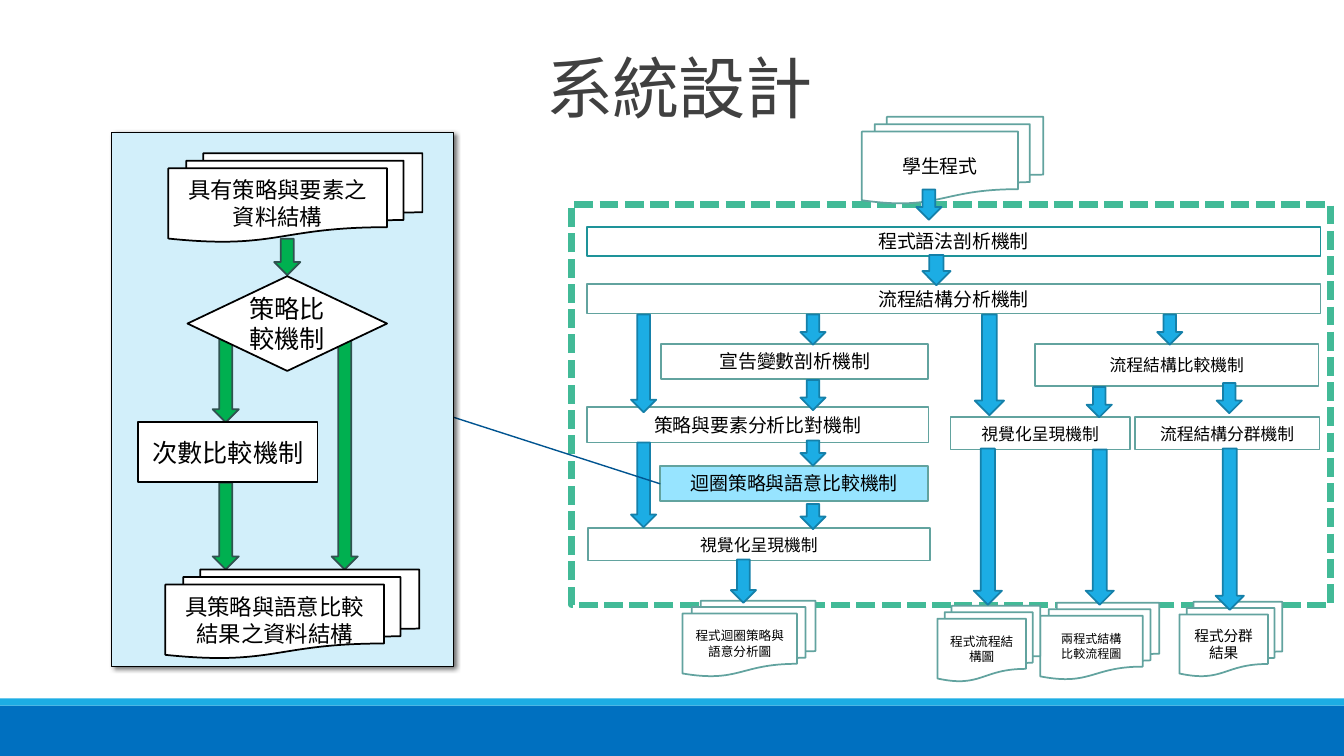
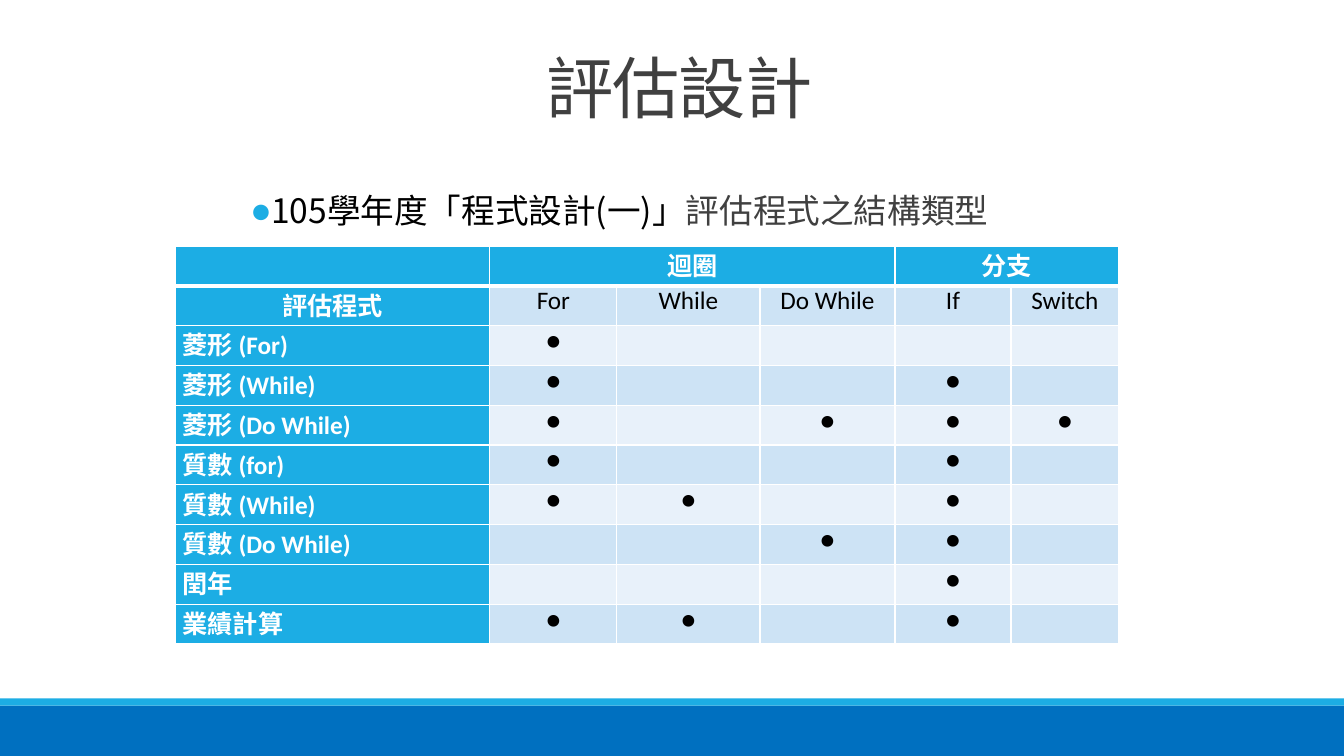
from dataclasses import dataclass
from typing import NamedTuple, Optional

from lxml.etree import SubElement as Sub
from pptx import Presentation
from pptx.dml.color import RGBColor as RGB
from pptx.enum.dml import MSO_LINE
from pptx.enum.shapes import MSO_CONNECTOR, MSO_SHAPE as MS
from pptx.enum.text import MSO_ANCHOR as Anchor, PP_ALIGN as Align
from pptx.oxml.ns import qn
from pptx.util import Emu, Inches, Pt


# Theme
@dataclass(frozen=True)
class Theme:
    latin: str = "Calibri"
    cjk: str = "Noto Sans CJK TC"
    white: str = "FFFFFF"
    black: str = "000000"
    gray: str = "404040"
    footer: str = "0070C0"
    accent: str = "1CADE4"
    accent_edge: str = "1580A9"
    teal: str = "62A39F"
    deep_teal: str = "1E9399"
    frame: str = "42BA97"
    highlight: str = "97E4FF"
    panel: str = "D2EFFA"
    leader: str = "005490"
    green: str = "00B050"
    green_edge: str = "305250"
    band_dark: str = "CDE3F5"
    band_light: str = "E8F1FA"
    title_size: float = 48
    body_size: float = 24
    large: float = 18
    medium: float = 16
    step: float = 13.5
    substep: float = 12
    result: float = 10.5
    small: float = 9
    tiny: float = 8.6
    edge: float = 1.25


T = Theme()

# Grid: square cells, ten to the inch
CELL = Inches(0.1)
COLS, ROWS = 133.33, 75


class Box(NamedTuple):
    x: float
    y: float
    w: float
    h: float


@dataclass(frozen=True)
class Node:
    kind: MS
    box: Box
    text: str
    size: float
    edge: str = T.teal
    fill: Optional[str] = T.white


class Arrow(NamedTuple):
    x: float
    y: float
    h: float
    w: float = 2.5


def cells(n: float) -> Emu:
    return Emu(round(n * CELL))


def place(box: Box) -> list:
    return [cells(n) for n in box]


# Shared drawing functions
def style_run(r, size: float, color: str, bold: bool = False, latin: str = T.latin) -> None:
    r.font.size, r.font.bold, r.font.name = Pt(size), bold, latin
    r.font.color.rgb = RGB.from_string(color)
    Sub(r.font._element, qn("a:ea"), typeface=T.cjk)


def style_text(tf, size: float, color: str, align=Align.CENTER, bold: bool = False) -> None:
    for p in tf.paragraphs:
        p.alignment = align
        for r in p.runs:
            style_run(r, size, color, bold)


def add_box(slide, kind, box: Box, fill: Optional[str], edge: Optional[str] = None,
            width: float = T.edge):
    sp = slide.shapes.add_shape(kind, *place(box))
    sp.shadow.inherit = False
    if fill:
        sp.fill.solid()
        sp.fill.fore_color.rgb = RGB.from_string(fill)
    else:
        sp.fill.background()
    if edge:
        sp.line.color.rgb = RGB.from_string(edge)
        sp.line.width = Pt(width)
    else:
        sp.line.fill.background()
    return sp


def add_node(slide, node: Node) -> None:
    sp = add_box(slide, node.kind, node.box, node.fill, node.edge)
    sp.text_frame.text = node.text
    style_text(sp.text_frame, node.size, T.black)


def add_arrow(slide, a: Arrow, fill: str, edge: str) -> None:
    add_box(slide, MS.DOWN_ARROW, Box(a.x, a.y, a.w, a.h), fill, edge)


def add_text(slide, box: Box):
    tf = slide.shapes.add_textbox(*place(box)).text_frame
    tf.word_wrap = True
    return tf


def new_slide(prs, title: str):
    slide = prs.slides.add_slide(prs.slide_layouts[6])
    add_box(slide, MS.RECTANGLE, Box(0, 70, COLS, 5), T.footer)
    add_box(slide, MS.RECTANGLE, Box(0, 69.3, COLS, 0.7), T.accent)
    tf = add_text(slide, Box(43.6, -1, 47.6, 14.1))
    tf.text = title
    tf.vertical_anchor = Anchor.BOTTOM
    style_text(tf, T.title_size, T.gray)
    p = tf.paragraphs[0]
    p.line_spacing = 0.85
    p.runs[0].font._element.set("spc", "-50")
    return slide


def add_shadow(sp) -> None:
    effects = sp._element.spPr.find(qn("a:effectLst"))
    shadow = Sub(effects, qn("a:outerShdw"), blurRad=str(Pt(3.5)), dist=str(Pt(2)),
                 dir=str(45 * 60000), rotWithShape="0")
    color = Sub(shadow, qn("a:srgbClr"), val=T.black)
    Sub(color, qn("a:alpha"), val="60000")


# Slide 1: system design
STEP, DOCS = MS.FLOWCHART_PROCESS, MS.FLOWCHART_MULTIDOCUMENT
SYSTEM_NODES = [
    Node(DOCS, Box(103.2, 59.8, 11.8, 7.6), "兩程式結構\n比較流程圖", T.tiny),
    Node(STEP, Box(58.2, 22.5, 72.8, 2.9), "程式語法剖析機制", T.step, T.deep_teal, None),
    Node(STEP, Box(94.3, 41.4, 17.8, 3.2), "視覺化呈現機制", T.substep),
    Node(STEP, Box(102.7, 34.1, 28.1, 4.2), "流程結構比較機制", T.substep),
    Node(STEP, Box(58.2, 28.2, 72.8, 2.9), "流程結構分析機制", T.step, fill=None),
    Node(DOCS, Box(85.5, 11.6, 18, 8.6), "學生程式", T.step),
    Node(DOCS, Box(93, 60.1, 10.2, 7.5), "程式流程結構圖", T.small),
    Node(DOCS, Box(117, 59.7, 10.2, 7.4), "程式分群結果", T.result),
    Node(STEP, Box(112.6, 41.4, 18.3, 3.2), "流程結構分群機制", T.substep),
    Node(STEP, Box(65.6, 34.1, 26.5, 3.5), "宣告變數剖析機制", T.step, fill=None),
    Node(STEP, Box(58.2, 40.4, 33.9, 3.5), "策略與要素分析比對機制", T.step, fill=None),
    Node(STEP, Box(58.3, 52.4, 34, 3.2), "視覺化呈現機制", T.substep),
    Node(STEP, Box(65.5, 46.2, 26.6, 3.5), "迴圈策略與語意比較機制", T.step, fill=T.highlight),
    Node(DOCS, Box(67.7, 59.6, 13.2, 7.5), "程式迴圈策略與語意分析圖", T.small),
]
SYSTEM_ARROWS = [
    Arrow(90.9, 18.8, 3), Arrow(91.5, 25.3, 3, 2.8),
    Arrow(62.6, 31.2, 9.7), Arrow(62.6, 43.9, 8.4),
    Arrow(79.4, 31.2, 3), Arrow(79.4, 37.7, 3),
    Arrow(79.4, 43.7, 2.5), Arrow(79.4, 50, 2.5), Arrow(72.5, 55.5, 4.3),
    Arrow(96.7, 31.2, 10, 2.9), Arrow(96.6, 44.5, 15.5, 2.8),
    Arrow(114.8, 31.2, 3), Arrow(107.8, 38.4, 3), Arrow(107.7, 44.6, 15.4, 2.8),
    Arrow(120.7, 38, 3), Arrow(120.6, 44.5, 16, 2.8),
]
DETAIL_NODES = [
    Node(STEP, Box(13.7, 41.9, 17.8, 5.9), "次數比較機制", T.large, T.black),
    Node(DOCS, Box(16.4, 56.5, 25.2, 8.8), "具策略與語意比較結果之資料結構", T.medium, T.black),
    Node(DOCS, Box(16.7, 15.2, 25.2, 8.8), "具有策略與要素之資料結構", T.medium, T.black),
    Node(MS.FLOWCHART_DECISION, Box(18.6, 27.4, 19.8, 9.4), "策略比較機制", T.large, T.black),
]
DETAIL_ARROWS = [
    Arrow(27.2, 23.7, 3.6, 2.6), Arrow(21.1, 33.6, 8.3, 2.6),
    Arrow(32.9, 33.6, 22.9, 2.6), Arrow(21.1, 47.9, 8.6, 2.6),
]


def build_system(prs) -> None:
    slide = new_slide(prs, "系統設計")

    # Whole system
    frame = add_box(slide, MS.RECTANGLE, Box(56.7, 20.3, 75.3, 39.7), T.white, T.frame, 4.5)
    frame.line.dash_style = MSO_LINE.SQUARE_DOT
    for node in SYSTEM_NODES:
        add_node(slide, node)
    for arrow in SYSTEM_ARROWS:
        add_arrow(slide, arrow, T.accent, T.accent_edge)

    # Leader from the detail panel to the highlighted step
    leader = slide.shapes.add_connector(
        MSO_CONNECTOR.STRAIGHT, cells(45), cells(41.4), cells(65.5), cells(48))
    leader.line.color.rgb = RGB.from_string(T.leader)
    leader.line.width = Pt(1)
    Sub(leader._element.spPr, qn("a:effectLst"))

    # Detail panel
    panel = add_box(slide, MS.LINE_CALLOUT_2, Box(11.1, 13.1, 33.9, 53), T.panel, T.black, 0.75)
    panel.rotation = 180
    for i, value in enumerate((0.62, 0, 0.62, 0, 0.62, 0)):
        panel.adjustments[i] = value
    add_shadow(panel)
    for arrow in DETAIL_ARROWS:
        add_arrow(slide, arrow, T.green, T.green_edge)
    for node in DETAIL_NODES:
        add_node(slide, node)


# Slide 2: evaluation design
COL_WIDTHS = (31.2, 12.6, 14.2, 13.4, 11.5, 10.7)
ROW_HEIGHT = 3.95
STRUCTURES = ("For", "While", "Do While", "If", "Switch")
PROGRAMS = {
    "菱形 (For)": {"For"},
    "菱形 (While)": {"For", "If"},
    "菱形 (Do While)": {"For", "Do While", "If", "Switch"},
    "質數 (for)": {"For", "If"},
    "質數 (While)": {"For", "While", "If"},
    "質數 (Do While)": {"Do While", "If"},
    "閏年": {"If"},
    "業績計算": {"For", "While", "If"},
}


def style_cell(cell, text: str, row: int, col: int) -> None:
    heading = row == 0 or col == 0
    cell.margin_left = cell.margin_right = Inches(0.07)
    cell.margin_top = cell.margin_bottom = 0
    cell.text = text
    align = Align.LEFT if col == 0 and row > 1 else Align.CENTER
    style_text(cell.text_frame, T.large, T.white if heading else T.black, align, heading)
    band = T.band_dark if row % 2 else T.band_light
    cell.fill.solid()
    cell.fill.fore_color.rgb = RGB.from_string(T.accent if heading else band)
    widths = {"lnL": 1, "lnR": 1, "lnT": 3 if row == 1 else 1, "lnB": 3 if row == 0 else 1}
    tc_pr = cell._tc.get_or_add_tcPr()
    for i, (side, width) in enumerate(widths.items()):
        ln = Sub(tc_pr, qn(f"a:{side}"), w=str(Pt(width)))
        Sub(Sub(ln, qn("a:solidFill")), qn("a:srgbClr"), val=T.white)
        tc_pr.insert(i, ln)


def add_structure_table(slide) -> None:
    rows = [["", "迴圈", "", "", "分支", ""], ["評估程式", *STRUCTURES]]
    rows += [[name, *("●" if s in used else "" for s in STRUCTURES)]
             for name, used in PROGRAMS.items()]
    box = Box(17.4, 24.4, sum(COL_WIDTHS), ROW_HEIGHT * len(rows))
    table = slide.shapes.add_table(len(rows), len(COL_WIDTHS), *place(box)).table
    table.first_row = table.horz_banding = False
    for column, width in zip(table.columns, COL_WIDTHS):
        column.width = cells(width)
    for i, texts in enumerate(rows):
        table.rows[i].height = cells(ROW_HEIGHT)
        for j, text in enumerate(texts):
            style_cell(table.cell(i, j), text, i, j)
    for first, last in ((1, 3), (4, 5)):
        table.cell(0, first).merge(table.cell(0, last))


def build_evaluation(prs) -> None:
    slide = new_slide(prs, "評估設計")

    # Bulleted statement
    tf = add_text(slide, Box(24.9, 18.8, 85, 45.2))
    tf.margin_left = tf.margin_right = 0
    p = tf.paragraphs[0]
    p.line_spacing, p.space_before, p.space_after = 0.9, Pt(12), Pt(2)
    for text, color in (("105學年度「程式設計(一)」", T.black), ("評估程式之結構類型", T.gray)):
        r = p.add_run()
        r.text = text
        style_run(r, T.body_size, color, latin=T.cjk)
    p_pr = p._p.get_or_add_pPr()
    p_pr.set("marL", str(CELL))
    p_pr.set("indent", str(-CELL))
    Sub(Sub(p_pr, qn("a:buClr")), qn("a:srgbClr"), val=T.accent)
    Sub(p_pr, qn("a:buFont"), typeface=T.latin)
    Sub(p_pr, qn("a:buChar"), char="●")

    add_structure_table(slide)


prs = Presentation()
prs.slide_width, prs.slide_height = cells(COLS), cells(ROWS)
build_system(prs)
build_evaluation(prs)
prs.save("out.pptx")
